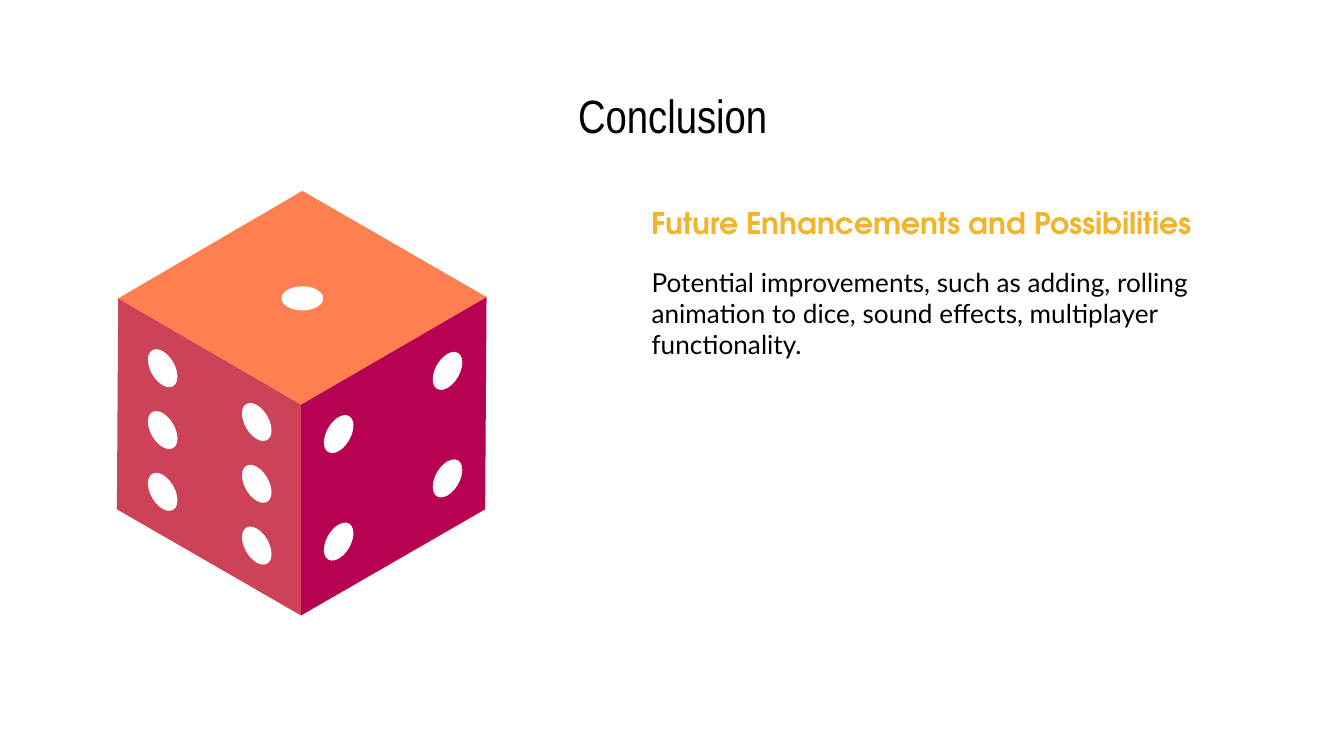
import pptx
import pptx.util
import pptx.dml.color
import pptx.enum.shapes
import pptx.enum.text

Inches, Pt = pptx.util.Inches, pptx.util.Pt
SLIDE_WIDTH = 10
SLIDE_HEIGHT = SLIDE_WIDTH * 9 / 16
WHITE, BLACK = "FFFFFF", "000000"
PIP_WIDTH, PIP_HEIGHT = 0.31, 0.18

TITLE = ("Conclusion", (0.78, 0.59, 8.45, 0.53), 25, "Arial Narrow", BLACK, False)
HEADING = ("Future Enhancements and Possibilities", (4.75, 1.36, 5, 0.45),
           16, "TeX Gyre Adventor", "F2B42D", True)
BODY = ("Potential improvements, such as adding, rolling animation to dice, "
        "sound effects, multiplayer functionality.", (4.75, 1.93, 5, 0.81),
        14, "Lato", BLACK, False)

# Corners of the cube
LEFT_TOP, LEFT_LOW = (0.88, 2.22), (0.87, 3.79)
RIGHT_TOP, RIGHT_LOW = (3.62, 2.21), (3.61, 3.79)
BACK, FRONT, BOTTOM = (2.25, 1.42), (2.24, 3.01), (2.24, 4.58)

# Pip grids: first centre, step to the next column, row gap, columns, rows
FACES = [
    dict(color="CE4257", corners=[LEFT_TOP, LEFT_LOW, BOTTOM, FRONT], tilt=60,
         first=(1.21, 2.74), step=(0.7, 0.4), row_gap=0.46, columns=2, rows=3),
    dict(color="B70251", corners=[RIGHT_TOP, FRONT, BOTTOM, RIGHT_LOW], tilt=-60,
         first=(2.52, 3.23), step=(0.81, -0.47), row_gap=0.8, columns=2, rows=2),
    dict(color="FF7F51", corners=[BACK, LEFT_TOP, FRONT, RIGHT_TOP], tilt=0,
         first=(2.25, 2.22), step=(0, 0), row_gap=0, columns=1, rows=1),
]


def rgb(color):
    return pptx.dml.color.RGBColor.from_string(color)


def paint(sp, color):
    sp.shadow.inherit = False
    sp.fill.solid()
    sp.fill.fore_color.rgb = rgb(color)
    sp.line.fill.background()


def place(sp, box):
    sp.left, sp.top, sp.width, sp.height = map(Inches, box)


def write(sp, text, box, size, font, color, bold):
    place(sp, box)
    tf = sp.text_frame
    tf.word_wrap = True
    tf.text = text
    p = tf.paragraphs[0]
    r = p.runs[0]
    r.font.size, r.font.name, r.font.bold = Pt(size), font, bold
    r.font.color.rgb = rgb(color)
    return tf, p


def draw_face(shapes, face):
    points = [(Inches(x), Inches(y)) for x, y in face["corners"]]
    builder = shapes.build_freeform(*points[0])
    builder.add_line_segments(points[1:], close=True)
    paint(builder.convert_to_shape(), face["color"])
    for column in range(face["columns"]):
        for row in range(face["rows"]):
            x = face["first"][0] + column * face["step"][0]
            y = face["first"][1] + column * face["step"][1] + row * face["row_gap"]
            box = (x - PIP_WIDTH / 2, y - PIP_HEIGHT / 2, PIP_WIDTH, PIP_HEIGHT)
            pip = shapes.add_shape(pptx.enum.shapes.MSO_SHAPE.OVAL, *map(Inches, box))
            pip.rotation = face["tilt"]
            paint(pip, WHITE)


def main():
    prs = pptx.Presentation()
    prs.slide_width, prs.slide_height = Inches(SLIDE_WIDTH), Inches(SLIDE_HEIGHT)
    s = prs.slides.add_slide(prs.slide_layouts[5])
    s.background.fill.solid()
    s.background.fill.fore_color.rgb = rgb(WHITE)

    tf, p = write(s.shapes.title, *TITLE)
    tf.vertical_anchor = pptx.enum.text.MSO_ANCHOR.MIDDLE
    tf.auto_size = pptx.enum.text.MSO_AUTO_SIZE.NONE
    tf.margin_top = tf.margin_bottom = Inches(0.1)
    p.alignment = pptx.enum.text.PP_ALIGN.CENTER

    die = s.shapes.add_group_shape()
    for face in FACES:
        draw_face(die.shapes, face)

    for content, spacing in ((HEADING, Pt(27.3)), (BODY, None)):
        sp = s.shapes.add_textbox(*map(Inches, content[1]))
        tf, p = write(sp, *content)
        tf.auto_size = pptx.enum.text.MSO_AUTO_SIZE.SHAPE_TO_FIT_TEXT
        p.line_spacing = spacing

    prs.save("out.pptx")


if __name__ == "__main__":
    main()
